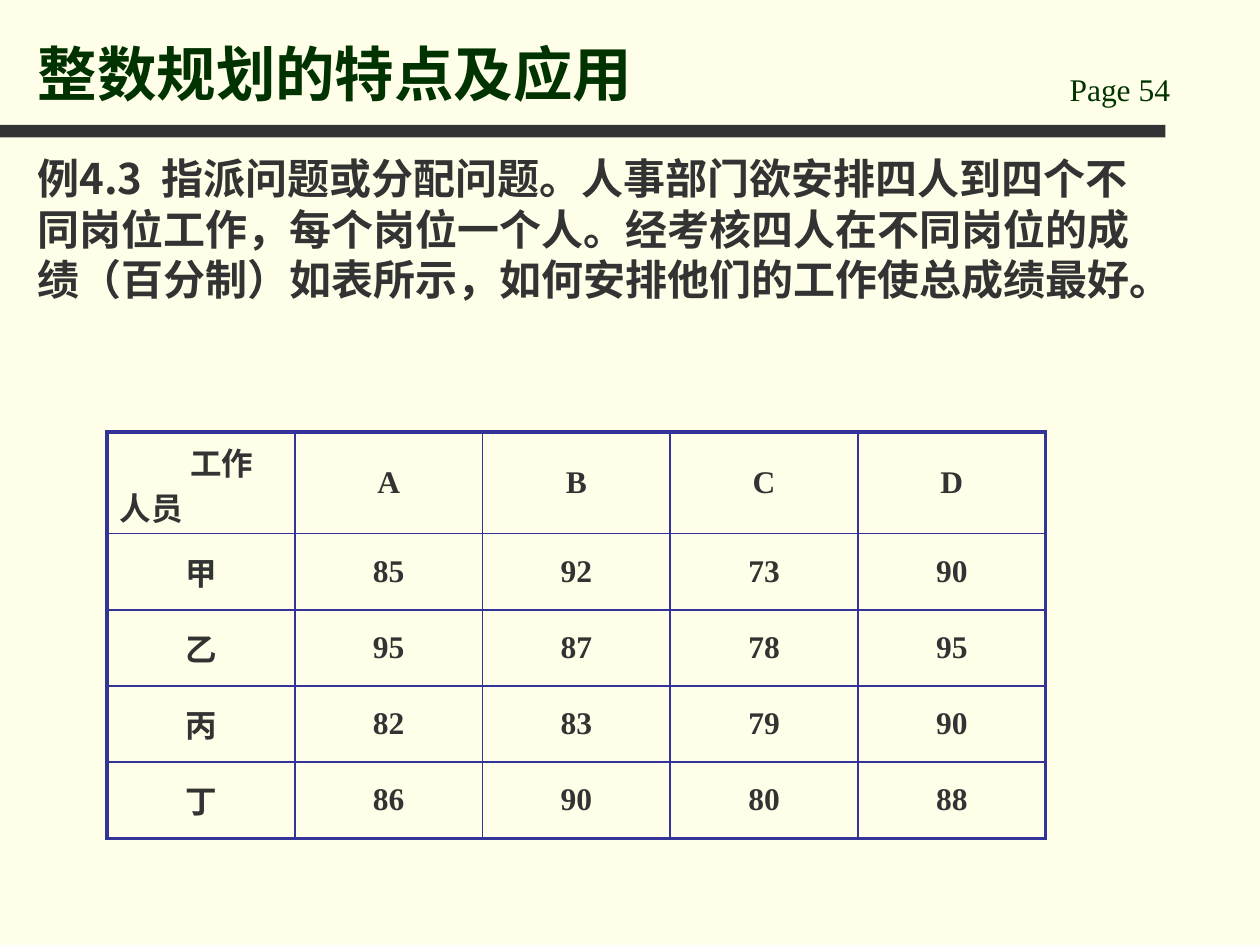
from dataclasses import dataclass

from lxml.etree import SubElement
from pptx import Presentation
from pptx.dml.color import RGBColor
from pptx.enum.shapes import MSO_SHAPE as Preset
from pptx.enum.text import MSO_ANCHOR as Anchor, MSO_AUTO_SIZE as AutoSize, PP_ALIGN as Align
from pptx.oxml.ns import qn
from pptx.util import Inches, Pt

WIDTH, HEIGHT = Inches(10), Inches(7.5)
CREAM, GREEN, CHARCOAL, INDIGO = "FFFFE9", "003300", "333333", "333399"
SERIF, SANS = "Times New Roman", "Noto Sans CJK SC"
THIN, THICK = 1, 2.25
HEADER_SHARE = 0.25
CORNER_INDENT = Inches(0.56)

SCORES = [
    ("", "A", "B", "C", "D"),
    ("甲", "85", "92", "73", "90"),
    ("乙", "95", "87", "78", "95"),
    ("丙", "82", "83", "79", "90"),
    ("丁", "86", "90", "80", "88"),
]


@dataclass(frozen=True)
class Area:
    """Place on the page, in percent of its width and height."""
    left: float
    top: float
    width: float
    height: float

    def lengths(self) -> tuple:
        return (round(WIDTH * self.left / 100), round(HEIGHT * self.top / 100),
                round(WIDTH * self.width / 100), round(HEIGHT * self.height / 100))


@dataclass(frozen=True)
class Style:
    size: float
    colour: str
    bold: bool = True
    latin: str = SERIF
    align: Align = Align.LEFT


TITLE = Style(34, GREEN)
PAGE_LABEL = Style(18, GREEN, bold=False)
BODY = Style(24, CHARCOAL, latin=SANS)
CELL = Style(18, CHARCOAL, align=Align.CENTER)
CORNER = Style(18, CHARCOAL)


def rgb(colour: str) -> RGBColor:
    return RGBColor.from_string(colour)


def write(frame, text: str, style: Style) -> None:
    """Fill a text frame, one paragraph for each line of the text."""
    frame.text = text
    for para in frame.paragraphs:
        para.alignment = style.align
        para.line_spacing = 1.0
        para.space_before = Pt(0)
        font = para.font
        font.size, font.bold, font.name = Pt(style.size), style.bold, style.latin
        font.color.rgb = rgb(style.colour)
        for span in para.runs:
            SubElement(span.font._element, qn("a:ea"), typeface=SANS)


def place(shape, area: Area) -> None:
    shape.left, shape.top, shape.width, shape.height = area.lengths()


def add_text(page, area: Area, text: str, style: Style) -> None:
    frame = page.shapes.add_textbox(*area.lengths()).text_frame
    frame.word_wrap = True
    write(frame, text, style)


def add_title(page, area: Area, text: str) -> None:
    title = page.shapes.title
    place(title, area)
    title.text_frame.auto_size = AutoSize.NONE
    title.text_frame.vertical_anchor = Anchor.BOTTOM
    write(title.text_frame, text, TITLE)


def add_bar(page, area: Area) -> None:
    bar = page.shapes.add_shape(Preset.RECTANGLE, *area.lengths())
    bar.shadow.inherit = False
    bar.fill.solid()
    bar.fill.fore_color.rgb = rgb(CHARCOAL)
    bar.line.fill.background()


def set_borders(cell, widths: dict[str, float]) -> None:
    properties = cell._tc.get_or_add_tcPr()
    for side, width in widths.items():
        line = SubElement(properties, qn(f"a:ln{side}"), w=str(Pt(width)))
        fill = SubElement(line, qn("a:solidFill"))
        SubElement(fill, qn("a:srgbClr"), val=INDIGO)


def add_scores(page, area: Area) -> None:
    last = len(SCORES) - 1
    table = page.shapes.add_table(len(SCORES), len(SCORES[0]), *area.lengths()).table
    table.first_row = table.horz_banding = False
    height = area.lengths()[3]
    header_height = round(height * HEADER_SHARE)
    for index, row in enumerate(table.rows):
        row.height = header_height if index == 0 else (height - header_height) // last
    for row, values in enumerate(SCORES):
        for column, value in enumerate(values):
            cell = table.cell(row, column)
            set_borders(cell, {
                "L": THICK if column == 0 else THIN,
                "R": THICK if column == len(values) - 1 else THIN,
                "T": THICK if row == 0 else THIN,
                "B": THICK if row == last else THIN,
            })
            cell.fill.background()
            cell.vertical_anchor = Anchor.MIDDLE
            if value:
                write(cell.text_frame, value, CELL)
    corner = table.cell(0, 0).text_frame
    write(corner, "工作\n人员", CORNER)
    corner.paragraphs[0]._p.get_or_add_pPr().set("indent", str(CORNER_INDENT))


def main() -> None:
    deck = Presentation()
    deck.slide_width, deck.slide_height = WIDTH, HEIGHT
    page = deck.slides.add_slide(deck.slide_layouts.get_by_name("Title Only"))
    page.background.fill.solid()
    page.background.fill.fore_color.rgb = rgb(CREAM)

    add_bar(page, Area(0, 13.2, 92.5, 1.33))
    add_text(page, Area(83.9, 6.8, 14.2, 5.33), "Page 54", PAGE_LABEL)
    add_title(page, Area(2, 1.73, 80.3, 10.4), "整数规划的特点及应用")
    add_text(page, Area(2, 15.5, 91.4, 27.3),
             "例4.3  指派问题或分配问题。人事部门欲安排四人到四个不同岗位工作，"
             "每个岗位一个人。经考核四人在不同岗位的成绩（百分制）如表所示，"
             "如何安排他们的工作使总成绩最好。", BODY)
    add_scores(page, Area(8.5, 45.73, 74.5, 43))
    deck.save("out.pptx")


if __name__ == "__main__":
    main()
